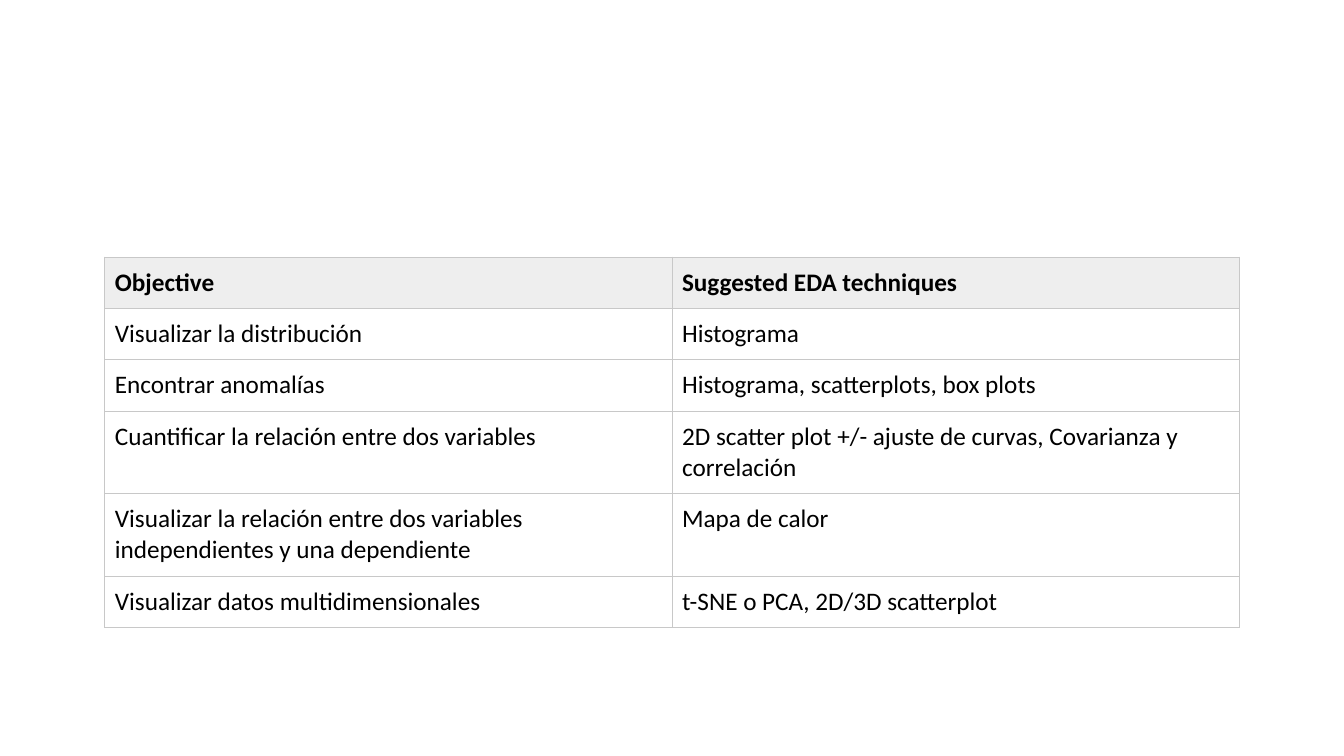
import pptx
import pptx.dml.color
import pptx.enum.text
import pptx.oxml.ns
import pptx.util
from lxml import etree

BLACK = pptx.dml.color.RGBColor(0x00, 0x00, 0x00)
WHITE = pptx.dml.color.RGBColor(0xFF, 0xFF, 0xFF)
HEADER_GRAY = pptx.dml.color.RGBColor(0xEE, 0xEE, 0xEE)
BORDER_GRAY = pptx.dml.color.RGBColor(0xC8, 0xC8, 0xC8)

PAGE_WIDTH, PAGE_HEIGHT = 13.33, 7.5
TABLE_BOX = (0.078 * PAGE_WIDTH, 0.34 * PAGE_HEIGHT, 0.844 * PAGE_WIDTH)
CELL_MARGIN = 0.1
LINE_HEIGHT = 0.31

TECHNIQUES = [
    ("Objective", "Suggested EDA techniques", 1),
    ("Visualizar la distribución", "Histograma", 1),
    ("Encontrar anomalías", "Histograma, scatterplots, box plots", 1),
    ("Cuantificar la relación entre dos variables",
     "2D scatter plot +/- ajuste de curvas, Covarianza y correlación", 2),
    ("Visualizar la relación entre dos variables independientes y una dependiente",
     "Mapa de calor", 2),
    ("Visualizar datos multidimensionales", "t-SNE o PCA, 2D/3D scatterplot", 1),
]


def write_text(frame, text, size=18, bold=False, color=BLACK, font="Calibri"):
    """Write one formatted span of text into a frame."""
    span = frame.paragraphs[0].add_run()
    span.text = text
    span.font.size = pptx.util.Pt(size)
    span.font.bold = bold
    span.font.name = font
    span.font.color.rgb = color


def add_borders(cell, color, width):
    """Draw a solid line on all four sides of a cell."""
    name = pptx.oxml.ns.qn
    properties = cell._tc.get_or_add_tcPr()
    for side in ("a:lnL", "a:lnR", "a:lnT", "a:lnB"):
        line = etree.SubElement(properties, name(side), w=str(pptx.util.Pt(width)))
        fill = etree.SubElement(line, name("a:solidFill"))
        etree.SubElement(fill, name("a:srgbClr"), val=str(color))


def style_cell(cell, text, header):
    """Set the margins, borders, fill and text of one cell."""
    margin = pptx.util.Inches(CELL_MARGIN)
    cell.margin_left = cell.margin_right = margin
    cell.margin_top = cell.margin_bottom = margin
    anchor = pptx.enum.text.MSO_ANCHOR
    cell.vertical_anchor = anchor.MIDDLE if header else anchor.TOP
    add_borders(cell, BORDER_GRAY, 0.75)
    cell.fill.solid()
    cell.fill.fore_color.rgb = HEADER_GRAY if header else WHITE
    write_text(cell.text_frame, text, bold=header)


def add_techniques_table(page, box):
    """Place the table of objectives and techniques in its box."""
    left, top, width = (pptx.util.Inches(length) for length in box)
    heights = [
        pptx.util.Inches(2 * CELL_MARGIN + lines * LINE_HEIGHT)
        for *_, lines in TECHNIQUES
    ]
    table = page.shapes.add_table(
        len(TECHNIQUES), 2, left, top, width, sum(heights)
    ).table
    table.horz_banding = False
    for row_index, (*texts, _) in enumerate(TECHNIQUES):
        table.rows[row_index].height = heights[row_index]
        for column_index, text in enumerate(texts):
            style_cell(table.cell(row_index, column_index), text, row_index == 0)


def main():
    """Build the deck and save it."""
    deck = pptx.Presentation()
    deck.slide_width = pptx.util.Inches(PAGE_WIDTH)
    deck.slide_height = pptx.util.Inches(PAGE_HEIGHT)
    page = deck.slides.add_slide(deck.slide_layouts[6])
    add_techniques_table(page, TABLE_BOX)
    deck.save("out.pptx")


if __name__ == "__main__":
    main()
